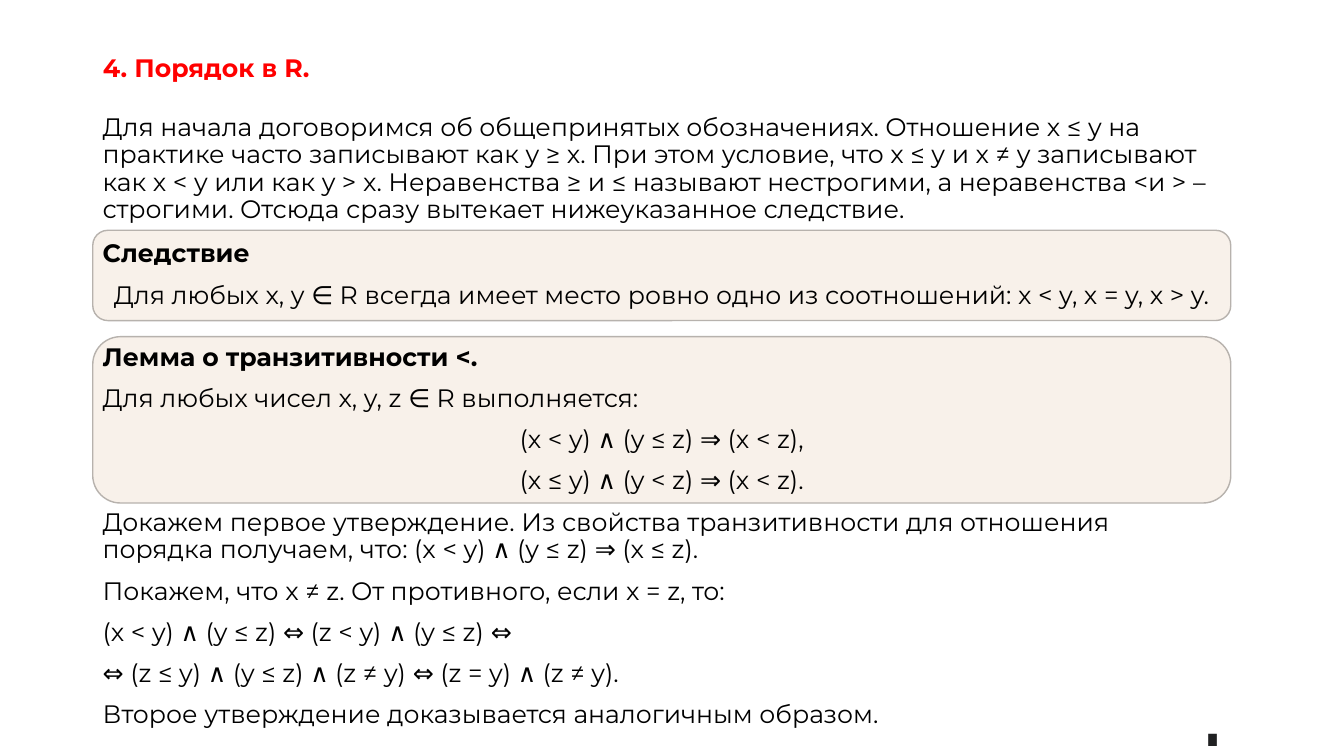
from pptx import Presentation
from pptx.dml.color import RGBColor
from pptx.enum.shapes import MSO_SHAPE
from pptx.enum.text import MSO_ANCHOR, MSO_AUTO_SIZE, PP_ALIGN
from pptx.util import Pt

ROUNDED = MSO_SHAPE.ROUNDED_RECTANGLE
TOP, MIDDLE = MSO_ANCHOR.TOP, MSO_ANCHOR.MIDDLE
NO_FIT = MSO_AUTO_SIZE.NONE
LEFT, CENTER, RIGHT = PP_ALIGN.LEFT, PP_ALIGN.CENTER, PP_ALIGN.RIGHT

RED = RGBColor(0xFF, 0x00, 0x00)
BLACK = RGBColor(0x00, 0x00, 0x00)
DARK = RGBColor(0x20, 0x21, 0x22)
CREAM = RGBColor(0xF8, 0xF1, 0xEA)
GREY = RGBColor(0xB7, 0xB2, 0xAD)

X, W = 66.24, 812.88

INTRO = (
    "Для начала договоримся об общепринятых обозначениях. Отношение x ≤ y на "
    "практике часто записывают как y ≥ x. При этом условие, что x ≤ y и x ≠ y "
    "записывают как x < y или как y > x. Неравенства ≥ и ≤ называют нестрогими, "
    "а неравенства <и > – строгими. Отсюда сразу вытекает нижеуказанное следствие."
)
COROLLARY = [
    ("Для любых x, y ∈ R всегда имеет место ровно одно из соотношений: "
     "x < y, x = y, x > y.", CENTER),
]
LEMMA = [
    ("Для любых чисел x, y, z ∈ R выполняется:", LEFT),
    ("(x < y) ∧ (y ≤ z) ⇒ (x < z),", CENTER),
    ("(x ≤ y) ∧ (y < z) ⇒ (x < z).", CENTER),
]
PROOF = [
    "Докажем первое утверждение. Из свойства транзитивности для отношения "
    "порядка получаем, что: (x < y) ∧ (y ≤ z) ⇒ (x ≤ z).",
    "Покажем, что x ≠ z. От противного, если x = z, то:",
    "(x < y) ∧ (y ≤ z) ⇔ (z < y) ∧ (y ≤ z) ⇔",
    "⇔ (z ≤ y) ∧ (y ≤ z) ∧ (z ≠ y) ⇔ (z = y) ∧ (z ≠ y).",
    "Второе утверждение доказывается аналогичным образом.",
]


class Deck:
    """Holds the text style and the current slide."""

    def __init__(self, prs):
        self.font, self.size = "Montserrat", Pt(18)
        self.s = prs.slides.add_slide(prs.slide_layouts[5])

    def style(self, p, color=BLACK, bold=False, align=LEFT, font=None,
              spacing=0.9, before=10):
        p.alignment, p.line_spacing, p.space_before = align, spacing, Pt(before)
        p.font.name, p.font.size = font or self.font, self.size
        p.font.bold, p.font.color.rgb = bold, color

    def title(self, text, x, y, w, h):
        sp = self.s.shapes.title
        sp.left, sp.top, sp.width, sp.height = Pt(x), Pt(y), Pt(w), Pt(h)
        tf = sp.text_frame
        tf.text, tf.vertical_anchor, tf.auto_size = text, MIDDLE, NO_FIT
        self.style(tf.paragraphs[0], RED, bold=True, before=0)

    def text(self, paragraphs, x, y, w, h, anchor=TOP):
        tf = self.s.shapes.add_textbox(Pt(x), Pt(y), Pt(w), Pt(h)).text_frame
        tf.word_wrap, tf.vertical_anchor = True, anchor
        for i, (text, options) in enumerate(paragraphs):
            p = tf.add_paragraph() if i else tf.paragraphs[0]
            p.add_run().text = text
            self.style(p, **options)

    def statement(self, heading, lines, y, h):
        sp = self.s.shapes.add_shape(ROUNDED, Pt(X), Pt(y), Pt(W), Pt(h))
        sp.shadow.inherit = False
        sp.fill.solid()
        sp.fill.fore_color.rgb = CREAM
        sp.line.color.rgb, sp.line.width = GREY, Pt(1)
        paragraphs = [(heading, {"bold": True})]
        paragraphs += [(text, {"align": align}) for text, align in lines]
        self.text(paragraphs, X, y, W, h, MIDDLE)


def main():
    prs = Presentation()
    prs.slide_width, prs.slide_height = Pt(960), Pt(540)
    deck = Deck(prs)
    deck.title("4. Порядок в R.", X, 31.7, 828, 36)
    deck.text([(INTRO, {})], X, 78.5, 828, 409)
    deck.statement("Cледствие", COROLLARY, 164.5, 64.5)
    deck.statement("Лемма о транзитивности <.", LEMMA, 240.5, 118.8)
    deck.text([(text, {}) for text in PROOF], X, 360.7, W, 167)
    end_mark = {"color": DARK, "align": RIGHT, "font": "Arial",
                "spacing": 1.0, "before": 0}
    deck.text([("∎", end_mark)], 59, 512, 820, 28)
    prs.save("out.pptx")


if __name__ == "__main__":
    main()
